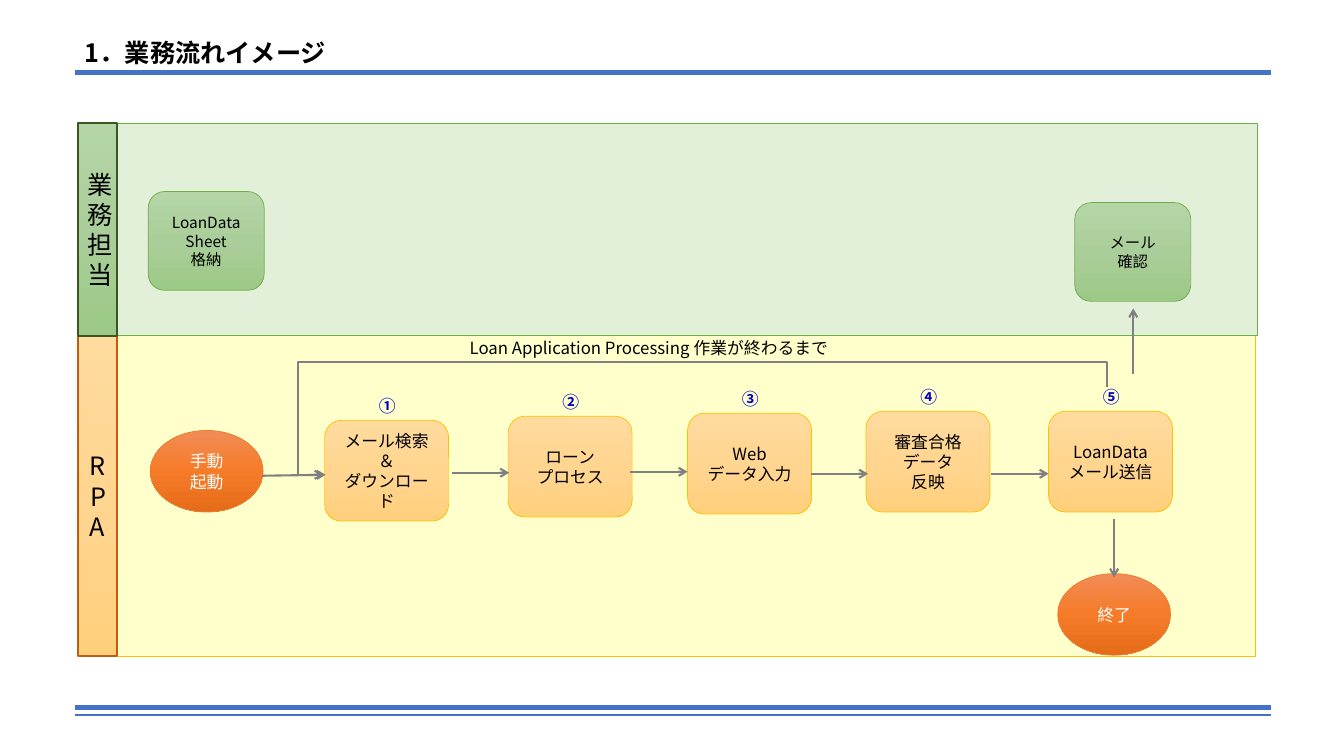
from copy import deepcopy

from lxml.etree import SubElement
from pptx import Presentation
from pptx.dml.color import RGBColor
from pptx.enum.shapes import MSO_CONNECTOR as Connector, MSO_SHAPE as Shape
from pptx.enum.text import MSO_ANCHOR as Anchor, MSO_AUTO_SIZE as AutoSize, PP_ALIGN as Align
from pptx.oxml.ns import qn
from pptx.util import Pt

PX = 9144
FONT = "Noto Sans CJK JP"
BLUE, GRAY, BLACK, WHITE, NUMBER_BLUE = "4472C4", "808080", "000000", "FFFFFF", "0000CC"
AMBER, GREEN, ORANGE = "FFC000", "70AD47", "ED7D31"
AMBER_FILL = ("FFDB9E", "FFD590", "FFD07C")
GREEN_FILL = ("B5D5A7", "AACE9A", "9CC987")
ORANGE_FILL = ("F18C57", "F67B28", "E56C19")


def rgb(value):
    return RGBColor.from_string(value)


def px(*lengths):
    return [length * PX for length in lengths]


def write(shape, text, size=12, color=BLACK, bold=False, align=Align.CENTER, anchor=Anchor.MIDDLE):
    frame = shape.text_frame
    frame.text = text
    frame.word_wrap = True
    frame.auto_size = AutoSize.NONE
    frame.vertical_anchor = anchor
    for paragraph in frame.paragraphs:
        paragraph.alignment = align
        paragraph.line_spacing = 1.0
        paragraph.space_before = Pt(0)
        for run in paragraph.runs:
            font = run.font
            font.name, font.size, font.bold = FONT, Pt(size), bold
            font.color.rgb = rgb(color)
            east_asian = SubElement(run._r.get_or_add_rPr(), qn("a:ea"))
            east_asian.set("typeface", FONT)


class FlowSlide:
    def __init__(self, presentation):
        self.slide = presentation.slides.add_slide(presentation.slide_layouts[5])
        self.shapes = self.slide.shapes

    def title(self, text, box):
        shape = self.shapes.title
        shape.left, shape.top, shape.width, shape.height = px(*box)
        write(shape, text, size=18, bold=True, align=Align.LEFT, anchor=Anchor.TOP)

    def label(self, text, box, **style):
        write(self.shapes.add_textbox(*px(*box)), text, anchor=Anchor.TOP, **style)

    def block(self, kind, box, fill, outline, weight=0.5, text="", **style):
        shape = self.shapes.add_shape(kind, *px(*box))
        shape.shadow.inherit = False
        shape.line.color.rgb = rgb(outline)
        shape.line.width = Pt(weight)
        if isinstance(fill, str):
            shape.fill.solid()
            shape.fill.fore_color.rgb = rgb(fill)
        else:
            self.shade(shape, fill)
        if text:
            write(shape, text, **style)

    def shade(self, shape, colors):
        shape.fill.gradient()
        shape.fill.gradient_angle = 270
        stop_list = shape._element.spPr.find(".//" + qn("a:gsLst"))
        stop_list.append(deepcopy(stop_list[0]))
        for stop, color, position in zip(shape.fill.gradient_stops, colors, (0, 0.5, 1)):
            stop.color.rgb = rgb(color)
            stop.position = position

    def line(self, start, end, color=BLUE, weight=1.5):
        connector = self.shapes.add_connector(Connector.STRAIGHT, *px(*start, *end))
        connector.line.color.rgb = rgb(color)
        connector.line.width = Pt(weight)
        SubElement(connector._element.spPr, qn("a:effectLst"))
        return connector

    def add_head(self, shape):
        SubElement(shape.line._get_or_add_ln(), qn("a:tailEnd")).set("type", "arrow")

    def arrow(self, start, end):
        self.add_head(self.line(start, end, GRAY))

    def loop_arrow(self, start, *points):
        builder = self.shapes.build_freeform(*start, scale=PX)
        builder.add_line_segments(points, close=False)
        shape = builder.convert_to_shape()
        shape.shadow.inherit = False
        shape.fill.background()
        shape.line.color.rgb = rgb(GRAY)
        shape.line.width = Pt(1.5)
        self.add_head(shape)


def main():
    presentation = Presentation()
    presentation.slide_width, presentation.slide_height = px(1333, 750)
    flow = FlowSlide(presentation)

    for y, weight in ((702, 3), (709, 1.5), (72, 3)):
        flow.line((74, y), (1261, y), weight=weight)
    flow.title("1．業務流れイメージ", (74, 32, 343, 40))

    flow.block(Shape.RECTANGLE, (114, 333, 1131, 318), "FFFFCC", AMBER)
    flow.block(Shape.RECTANGLE, (77, 122, 1170, 211), "E2F0D9", GREEN)
    lanes = (("RPA", 333, 318, AMBER_FILL, "C55A11"), ("業務担当", 122, 211, GREEN_FILL, "385723"))
    for name, top, height, fill, outline in lanes:
        flow.block(Shape.RECTANGLE, (77, top, 39, height), fill, outline, 1.5, name, size=18)

    for text, left, top in (("手動\n起動", 149, 427), ("終了", 1049, 569)):
        flow.block(Shape.OVAL, (left, top, 112, 81), ORANGE_FILL, ORANGE, text=text, color=WHITE)

    for text, left, top in (("LoanData Sheet\n格納", 147, 190), ("メール\v確認", 1066, 201)):
        flow.block(Shape.ROUNDED_RECTANGLE, (left, top, 115, 98), GREEN_FILL, GREEN, text=text, size=11)

    steps = (
        ("①", "メール検索＆\nダウンロード", 322, 417),
        ("②", "ローン\nプロセス", 504, 413),
        ("③", "Web\nデータ入力", 682, 410),
        ("④", "審査合格\nデータ\n反映", 859, 408),
        ("⑤", "LoanData\vメール送信", 1040, 408),
    )
    for number, text, left, top in steps:
        flow.label(number, (left + 44, top - 29, 34, 30), color=NUMBER_BLUE, bold=True)
        flow.block(Shape.ROUNDED_RECTANGLE, (left, top, 123, 100), AMBER_FILL, AMBER, text=text)

    flow.label("Loan Application Processing 作業が終わるまで", (456, 330, 412, 30), align=Align.LEFT)

    flow.arrow((260, 472), (323, 471))
    for left, y in ((448, 469), (625, 468), (804, 470), (983, 470)):
        flow.arrow((left, y), (left + 57, y))
    flow.arrow((1105, 515), (1105, 573))
    flow.arrow((1124, 371), (1124, 306))
    flow.loop_arrow((1098, 384), (1098, 359), (296, 359), (296, 471), (321, 471))

    presentation.save("out.pptx")


if __name__ == "__main__":
    main()
